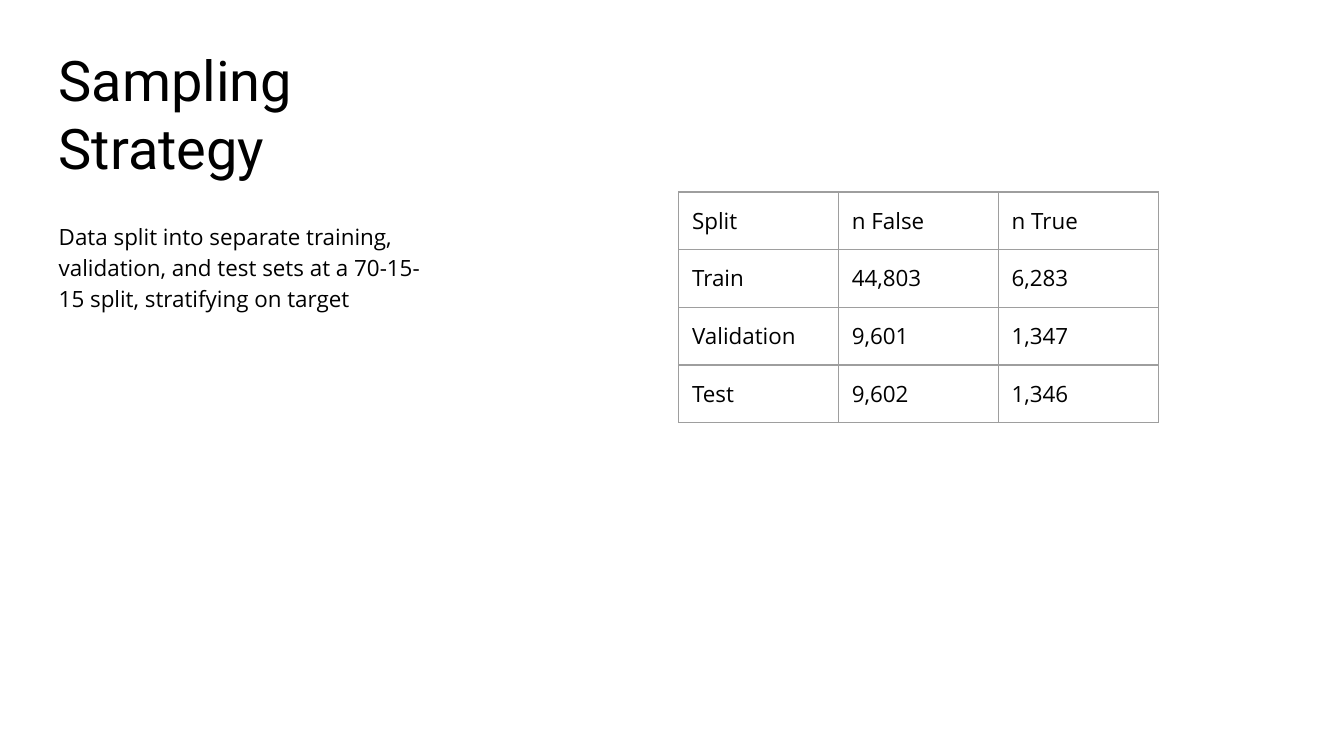
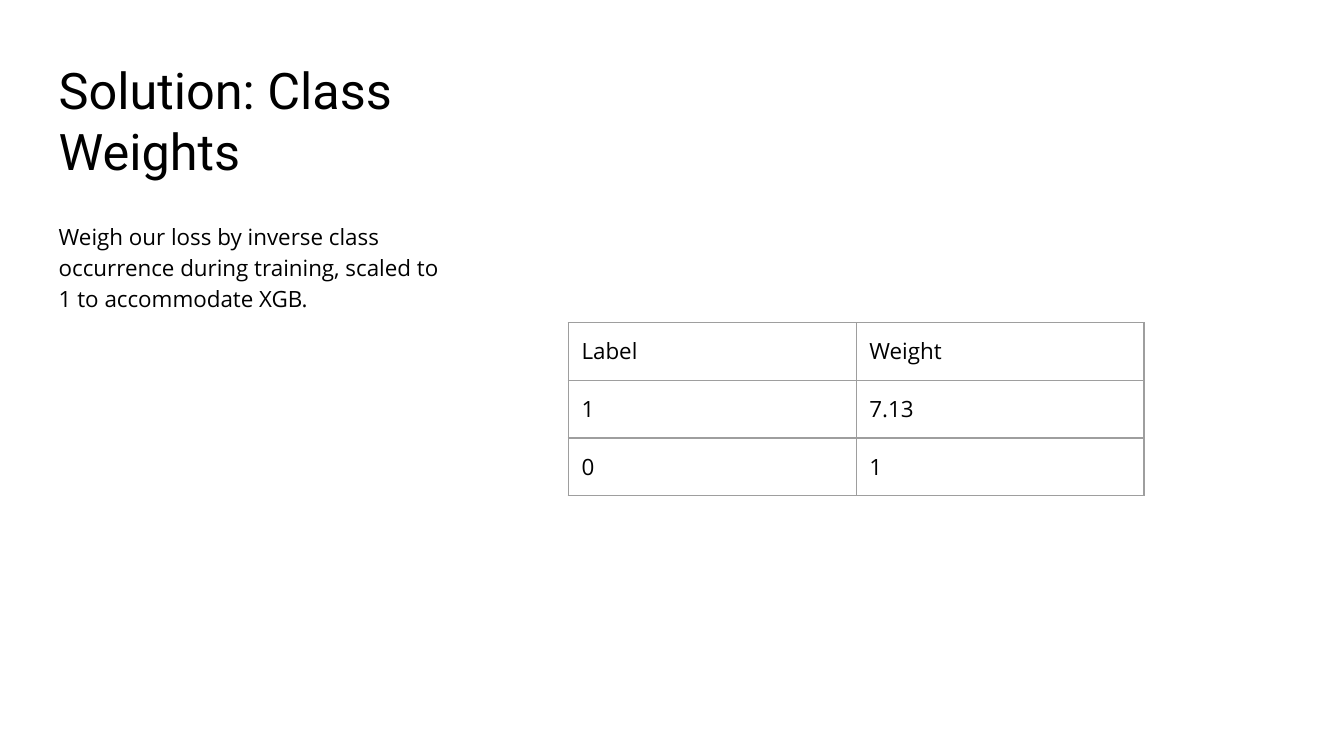
import pptx
import pptx.dml.color
import pptx.enum.text
import pptx.oxml.ns
import pptx.util
import lxml.etree

Cm = pptx.util.Cm
Pt = pptx.util.Pt
qn = pptx.oxml.ns.qn
Anchor = pptx.enum.text.MSO_ANCHOR


def color(code):
    return pptx.dml.color.RGBColor.from_string(code)


class Deck:
    """Hold the shared style and the current slide, and add elements to it."""

    ink, rule, paper = "000000", "9E9E9E", "FFFFFF"
    head, text = "Roboto", "Open Sans"
    left, width, inset = 0.86, 7.8, 0.25
    row = 1.09

    def __init__(self):
        self.show = pptx.Presentation()
        self.show.slide_width = Cm(25.4)
        self.show.slide_height = Cm(14.29)
        fill = self.show.slide_master.background.fill
        fill.solid()
        fill.fore_color.rgb = color(self.paper)

    def page(self):
        self.slide = self.show.slides.add_slide(self.show.slide_layouts[1])

    def style(self, para, face, size):
        para.alignment = pptx.enum.text.PP_ALIGN.LEFT
        para.font.name = face
        para.font.size = Pt(size)
        para.font.color.rgb = color(self.ink)

    def place(self, index, top, width, height, anchor, words):
        box = self.slide.placeholders[index]
        box.left, box.top = Cm(self.left), Cm(top)
        box.width, box.height = Cm(width), Cm(height)
        frame = box.text_frame
        frame.margin_left = frame.margin_right = Cm(self.inset)
        frame.margin_top = frame.margin_bottom = Cm(self.inset)
        frame.word_wrap = True
        frame.auto_size = pptx.enum.text.MSO_AUTO_SIZE.NONE
        frame.vertical_anchor = anchor
        frame.text = words
        return frame.paragraphs[0]

    def title(self, words, size, width=width):
        para = self.place(0, 1.55, width, 2.11, Anchor.BOTTOM, words)
        self.style(para, self.head, size)

    def body(self, words, after=0):
        para = self.place(1, 3.89, self.width, 7.75, Anchor.TOP, words)
        props = para._p.get_or_add_pPr()
        props.set("marL", "0")
        props.set("indent", "0")
        lxml.etree.SubElement(props, qn("a:buNone"))
        para.line_spacing = 1.15
        para.space_before = Pt(0)
        para.space_after = Pt(after)
        self.style(para, self.text, 12)

    def border(self, cell):
        props = cell._tc.get_or_add_tcPr()
        for side in "LRTB":
            line = lxml.etree.SubElement(props, qn(f"a:ln{side}"), w=str(Pt(0.75)))
            fill = lxml.etree.SubElement(line, qn("a:solidFill"))
            lxml.etree.SubElement(fill, qn("a:srgbClr"), val=self.rule)

    def table(self, left, top, width, rows):
        count = len(rows[0])
        grid = self.slide.shapes.add_table(
            len(rows), count, Cm(left), Cm(top),
            Cm(width * count), Cm(self.row * len(rows))).table
        grid.first_row = grid.horz_banding = False
        for y, row in enumerate(rows):
            for x, words in enumerate(row):
                cell = grid.cell(y, x)
                cell.margin_left = cell.margin_right = Cm(self.inset)
                cell.margin_top = cell.margin_bottom = Cm(self.inset)
                self.border(cell)
                cell.fill.background()
                cell.text = words
                self.style(cell.text_frame.paragraphs[0], self.text, 12)


def main():
    deck = Deck()

    deck.page()
    deck.title("Sampling Strategy", 30)
    deck.body("Data split into separate training, validation, and test sets "
              "at a 70-15-15 split, stratifying on target", after=12)
    deck.table(12.83, 3.63, 3.02, [
        ("Split", "n False", "n True"),
        ("Train", "44,803", "6,283"),
        ("Validation", "9,601", "1,347"),
        ("Test", "9,602", "1,346"),
    ])

    deck.page()
    deck.title("Solution: Class Weights", 27, width=7.95)
    deck.body("Weigh our loss by inverse class occurrence during training, "
              "scaled to 1 to accommodate XGB.")
    deck.table(10.74, 6.1, 5.44, [
        ("Label", "Weight"),
        ("1", "7.13"),
        ("0", "1"),
    ])

    deck.show.save("out.pptx")


if __name__ == "__main__":
    main()
